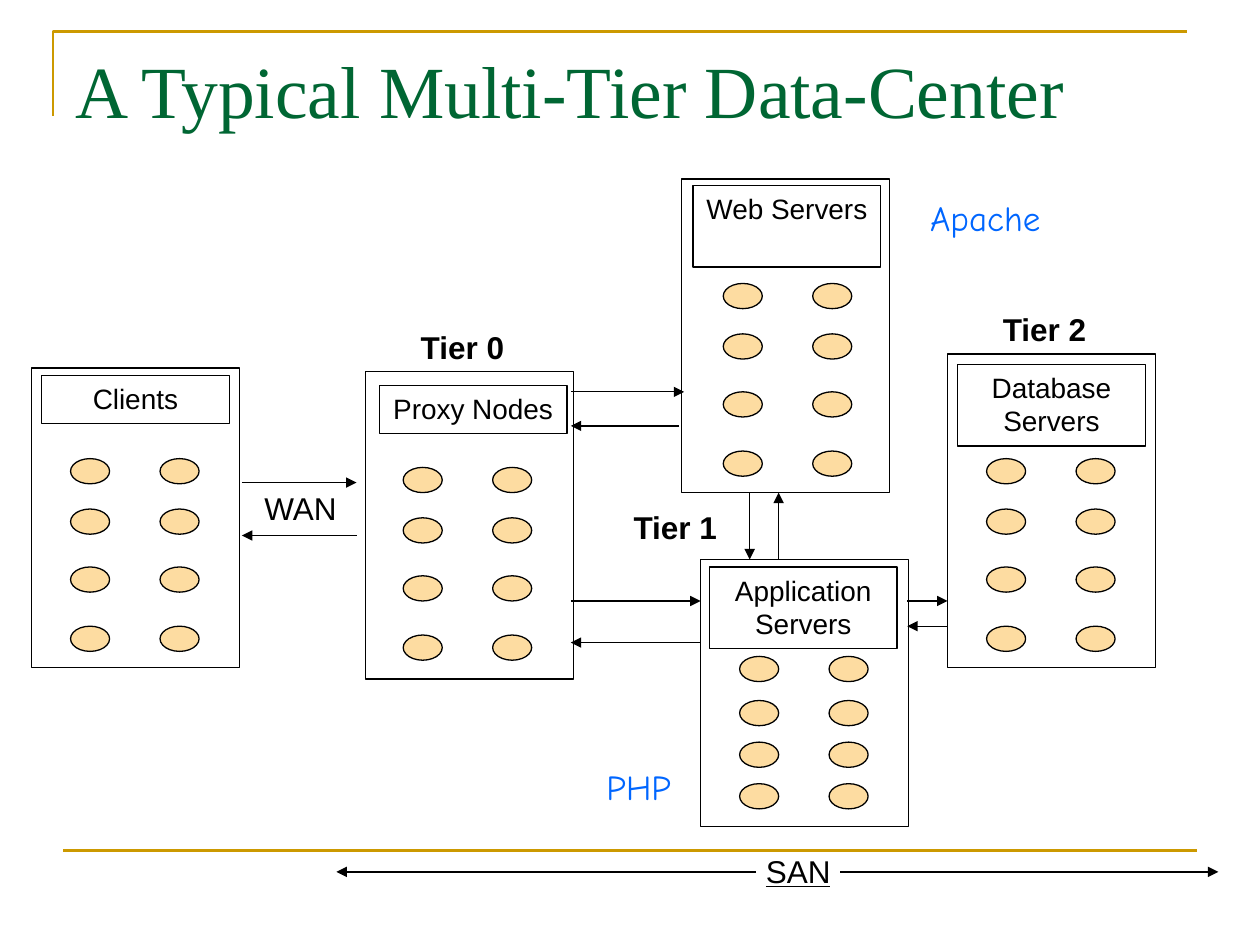
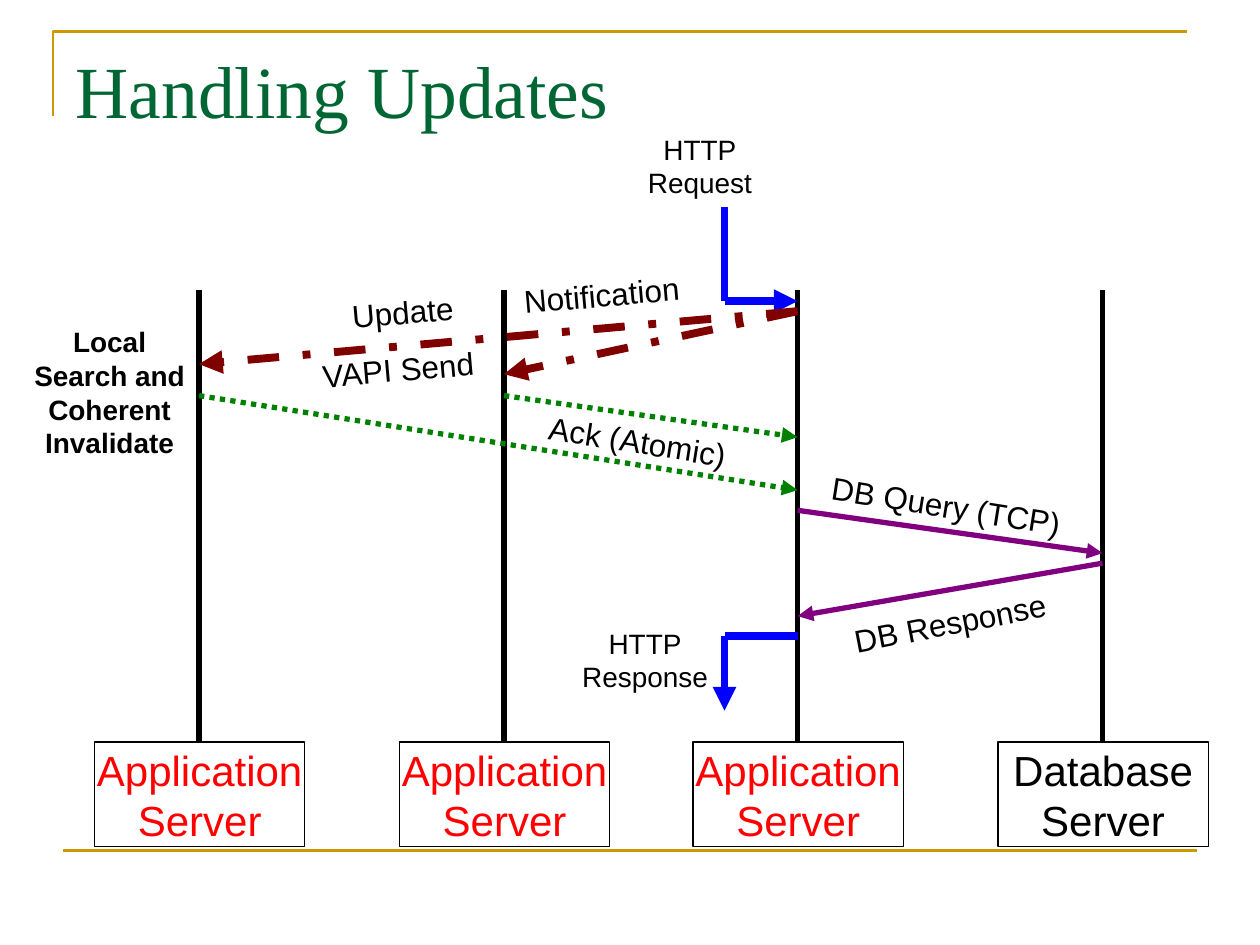
from lxml import etree
from pptx import Presentation
from pptx.dml.color import RGBColor
from pptx.enum.dml import MSO_LINE
from pptx.enum.shapes import MSO_CONNECTOR, MSO_SHAPE
from pptx.enum.text import MSO_ANCHOR, MSO_AUTO_SIZE, PP_ALIGN
from pptx.oxml.ns import qn
from pptx.util import Pt

PX = 9144  # EMU in one px, 100 px to the inch
RECTANGLE, ELLIPSE = MSO_SHAPE.RECTANGLE, MSO_SHAPE.OVAL
STRAIGHT = MSO_CONNECTOR.STRAIGHT
DASH_DOT, DOTTED = MSO_LINE.DASH_DOT, MSO_LINE.ROUND_DOT
LEFT, CENTER = PP_ALIGN.LEFT, PP_ALIGN.CENTER
TOP, MIDDLE = MSO_ANCHOR.TOP, MSO_ANCHOR.MIDDLE
NO_AUTOFIT = MSO_AUTO_SIZE.NONE

COLORS = {
    name: RGBColor.from_string(value)
    for name, value in {
        "black": "000000", "white": "FFFFFF", "gold": "CC9900",
        "title": "006633", "node": "FDDCA1", "software": "0066FF",
        "application": "FF0000", "http": "0000FF", "update": "800000",
        "ack": "008000", "database": "800080",
    }.items()
}


def add_box(slide, box, lines=(), size=18, color="black", font="Arial", bold=False,
            underline=None, align=CENTER, anchor=TOP, wrap=False, rotation=0,
            tab=None, preset=None, fill=None):
    """Add a text box, or an outlined preset shape, with one paragraph per line."""
    bounds = [value * PX for value in box]
    if preset is None:
        shape = slide.shapes.add_textbox(*bounds)
    else:
        shape = slide.shapes.add_shape(preset, *bounds)
        shape.shadow.inherit = False
        shape.line.color.rgb = COLORS["black"]
        shape.line.width = Pt(0.75)
        if fill:
            shape.fill.solid()
            shape.fill.fore_color.rgb = COLORS[fill]
        else:
            shape.fill.background()
    shape.rotation = rotation
    frame = shape.text_frame
    frame.word_wrap = wrap
    frame.vertical_anchor = anchor
    for index, line in enumerate(lines):
        paragraph = frame.add_paragraph() if index else frame.paragraphs[0]
        paragraph.alignment = align
        if tab:
            tab_list = etree.SubElement(paragraph._p.get_or_add_pPr(), qn("a:tabLst"))
            etree.SubElement(tab_list, qn("a:tab"), pos=str(tab * PX), algn="l")
        run = paragraph.add_run()
        run.text = line
        run.font.name = font
        run.font.size = Pt(size)
        run.font.bold = bold
        run.font.underline = underline
        run.font.color.rgb = COLORS[color]


def add_line(slide, points, color="black", width=0.75, dash=None, arrow=True):
    """Add a straight line, by default with an arrowhead at its end."""
    connector = slide.shapes.add_connector(STRAIGHT, *[value * PX for value in points])
    connector.line.color.rgb = COLORS[color]
    connector.line.width = Pt(width)
    if dash:
        connector.line.dash_style = dash
    if arrow:
        outline = connector.line._get_or_add_ln()
        etree.SubElement(outline, qn("a:tailEnd"), type="triangle")
    etree.SubElement(connector.element.spPr, qn("a:effectLst"))
    return connector


presentation = Presentation()
presentation.slide_width = 1000 * PX
presentation.slide_height = 750 * PX
title_only = presentation.slide_layouts[5]

# Slides and titles
slides = []
for title_text in ("A Typical Multi-Tier Data-Center", "Handling Updates"):
    slide = presentation.slides.add_slide(title_only)
    title = slide.shapes.title
    title.left, title.top, title.width, title.height = (
        50 * PX, 31 * PX, 900 * PX, 125 * PX)
    title.text_frame.auto_size = NO_AUTOFIT
    title.text_frame.vertical_anchor = TOP
    paragraph = title.text_frame.paragraphs[0]
    paragraph.alignment = LEFT
    run = paragraph.add_run()
    run.text = title_text
    run.font.name = "Times New Roman"
    run.font.size = Pt(42)
    run.font.color.rgb = COLORS["title"]
    slides.append(slide)
data_center, updates = slides

# Gold corner and footer rule, moved to the shared layout
builder = data_center.shapes.build_freeform(42, 92, scale=PX)
builder.add_line_segments([(42, 25), (942, 25)], close=False)
corner = builder.convert_to_shape()
corner.shadow.inherit = False
corner.fill.background()
corner.line.color.rgb = COLORS["gold"]
corner.line.width = Pt(1.5)
footer_rule = add_line(data_center, (50, 675, 950, 675), "gold", 1.5, arrow=False)
for decoration in (corner, footer_rule):
    title_only.shapes.element.append(decoration.element)

# Data center: groups of nodes, each with frame, heading and two node columns
EVEN_ROWS = (0, 40, 86, 133)
CLOSE_ROWS = (0, 35, 68, 101)
groups = [
    # heading, frame, heading box, first node, row offsets
    ("Database Servers", (752, 281, 165, 249), (760, 289, 149, 65), (783, 364), EVEN_ROWS),
    ("Clients", (25, 292, 165, 238), (33, 298, 149, 38), (56, 364), EVEN_ROWS),
    ("Application Servers", (556, 444, 165, 212), (563, 450, 149, 65), (587, 521), CLOSE_ROWS),
    ("Web Servers", (541, 142, 165, 249), (550, 147, 149, 65), (574, 225), EVEN_ROWS),
    ("Proxy Nodes", (290, 295, 165, 244), (301, 306, 149, 38), (320, 371), EVEN_ROWS),
]
for heading, frame_box, heading_box, (node_x, node_y), rows in groups:
    for column in (0, 71):
        for row in rows:
            add_box(data_center, (node_x + column, node_y + row, 31, 20),
                    preset=ELLIPSE, fill="node")
    add_box(data_center, frame_box, preset=RECTANGLE)
    add_box(data_center, heading_box, [heading], 16, wrap=True,
            preset=RECTANGLE, fill="white")

# Data center: traffic between the groups and the storage network
for points in [
    (192, 383, 283, 383), (283, 425, 192, 425),
    (453, 311, 543, 311), (539, 338, 453, 338),
    (453, 477, 556, 477), (556, 510, 453, 510),
    (595, 391, 595, 444), (618, 444, 618, 391),
    (720, 477, 752, 477), (752, 497, 720, 497),
    (667, 692, 967, 692), (600, 692, 267, 692),
]:
    add_line(data_center, points)

# Data center: labels
for tier, (left, top) in enumerate([(312, 265), (481, 408), (774, 251)]):
    add_box(data_center, (left, top, 110, 20), [f"Tier {tier}"], bold=True, anchor=MIDDLE)
for name, box in [("Apache", (709, 151, 146, 43)), ("PHP", (464, 603, 86, 43))]:
    add_box(data_center, box, [name], 20, "software", "Comic Neue", wrap=True)
add_box(data_center, (200, 383, 78, 40), ["WAN"], align=LEFT)
add_box(data_center, (598, 671, 72, 40), ["SAN"], align=LEFT, underline=True)

# Updates: servers and their lifelines
FIRST, SECOND, THIRD, DATABASE = 158, 400, 633, 875
for lifeline, kind, color in [
    (FIRST, "Application", "application"),
    (SECOND, "Application", "application"),
    (THIRD, "Application", "application"),
    (DATABASE, "Database", "black"),
]:
    add_box(updates, (lifeline - 83, 589, 167, 83), [kind, "Server"], 24, color,
            anchor=MIDDLE, preset=RECTANGLE)
    add_line(updates, (lifeline, 230, lifeline, 589), width=3, arrow=False)

# Updates: messages
for points, color, width, dash, arrow in [
    ((575, 164, 575, 239), "http", 4.5, None, False),
    ((575, 239, THIRD, 239), "http", 4.5, None, True),
    ((THIRD, 247, FIRST, 289), "update", 4.5, DASH_DOT, True),
    ((THIRD, 247, SECOND, 297), "update", 4.5, DASH_DOT, True),
    ((SECOND, 314, THIRD, 347), "ack", 3, DOTTED, True),
    ((FIRST, 314, THIRD, 389), "ack", 3, DOTTED, True),
    ((THIRD, 405, DATABASE, 439), "database", 3, None, True),
    ((DATABASE, 447, THIRD, 489), "database", 3, None, True),
    ((THIRD, 505, 575, 505), "http", 4.5, None, False),
    ((575, 505, 575, 564), "http", 4.5, None, True),
]:
    add_line(updates, points, color, width, dash, arrow)

# Updates: slanted message labels
add_box(updates, (269, 219, 300, 40), ["Update\tNotification"], align=LEFT,
        wrap=True, rotation=355, tab=137)
for label, box, rotation in [
    ("VAPI Send", (235, 273, 162, 40), 355),
    ("Ack (Atomic)", (415, 330, 182, 40), 9),
    ("DB Query (TCP)", (636, 381, 230, 40), 9),
    ("DB Response", (657, 474, 194, 40), 349),
]:
    add_box(updates, box, [label], rotation=rotation)

# Updates: upright notes
for lines, box, bold in [
    (["Local", "Search and", "Coherent", "Invalidate"], (17, 253, 140, 117), True),
    (["HTTP", "Request"], (504, 100, 103, 64), False),
    (["HTTP", "Response"], (452, 492, 120, 64), False),
]:
    add_box(updates, box, lines, 16, bold=bold)

presentation.save("out.pptx")
